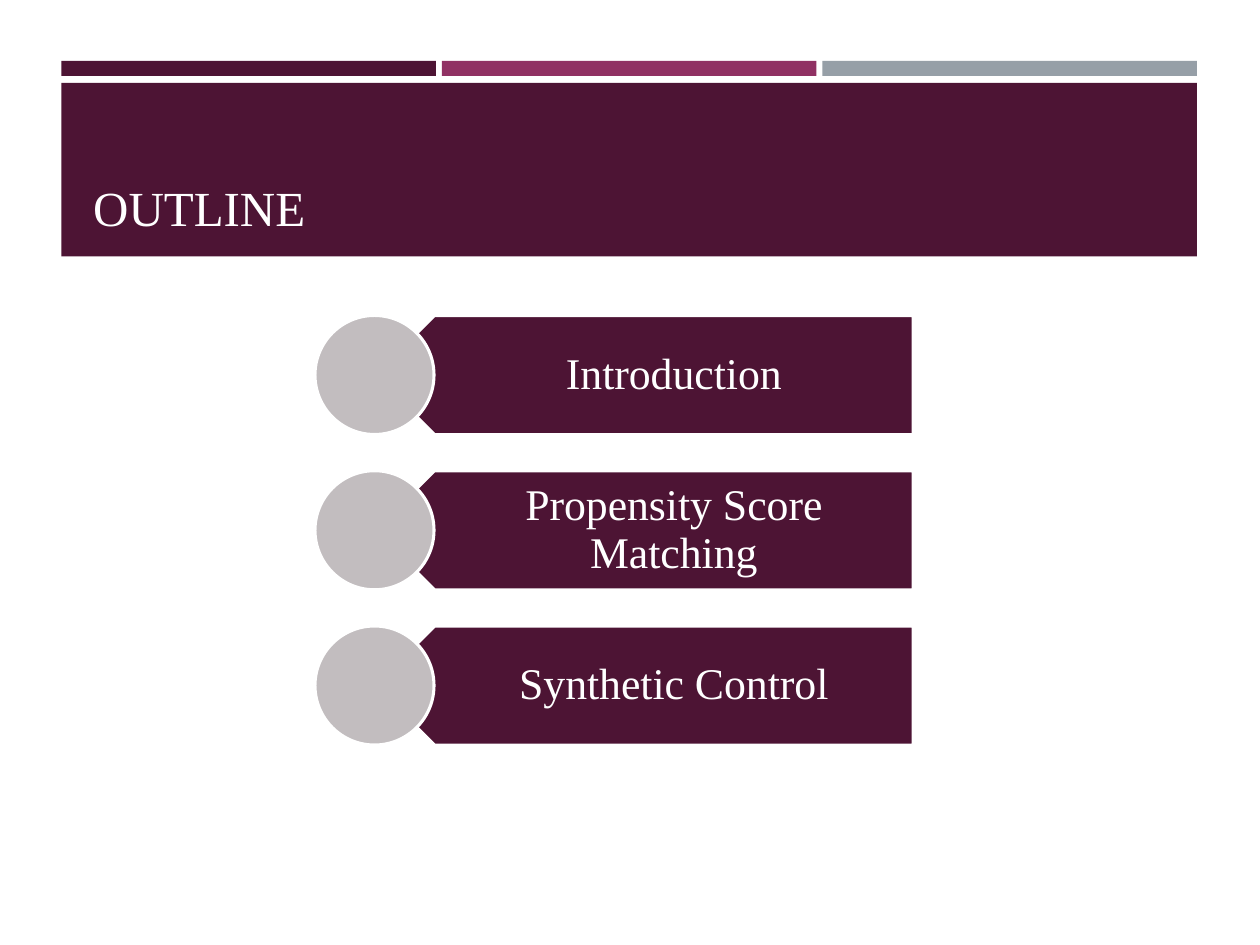
from pptx import Presentation
from pptx.dml.color import RGBColor
from pptx.enum.shapes import MSO_SHAPE
from pptx.enum.text import MSO_ANCHOR, PP_ALIGN
from pptx.util import Cm, Pt

RECT, PLATE, OVAL = MSO_SHAPE.RECTANGLE, MSO_SHAPE.PENTAGON, MSO_SHAPE.OVAL
BOTTOM, MIDDLE = MSO_ANCHOR.BOTTOM, MSO_ANCHOR.MIDDLE
LEFT, CENTER = PP_ALIGN.LEFT, PP_ALIGN.CENTER

PLUM = RGBColor(0x4D, 0x14, 0x34)
BERRY = RGBColor(0x90, 0x31, 0x63)
STEEL = RGBColor(0x96, 0x9F, 0xA7)
GREY = RGBColor(0xC2, 0xBD, 0xBF)
WHITE = RGBColor(0xFF, 0xFF, 0xFF)


class Page:
    """Holds the style and the current slide; boxes are (x, y, w, h) in cm."""

    font = "Times New Roman"
    ink = WHITE
    edge = Pt(1.75)

    def __init__(self, slide):
        self.slide = slide

    def shape(self, kind, box, fill, line=None, turn=0):
        item = self.slide.shapes.add_shape(kind, *map(Cm, box))
        item.shadow.inherit = False
        item.rotation = turn
        item.fill.solid()
        item.fill.fore_color.rgb = fill
        if line is None:
            item.line.fill.background()
        else:
            item.line.color.rgb = line
            item.line.width = self.edge

    def text(self, words, box, size, anchor, align, pads=(0.25, 0.13, 0.25, 0.13), pitch=1.0):
        """Add a text box; pads are left, top, right, bottom in cm."""
        frame = self.slide.shapes.add_textbox(*map(Cm, box)).text_frame
        frame.word_wrap = True
        frame.vertical_anchor = anchor
        (frame.margin_left, frame.margin_top,
         frame.margin_right, frame.margin_bottom) = map(Cm, pads)
        para = frame.paragraphs[0]
        para.text = words
        para.alignment = align
        para.line_spacing = pitch
        para.font.name = self.font
        para.font.size = Pt(size)
        para.font.color.rgb = self.ink

    def topic(self, words, top, high):
        """Add one outline row: a plate pointing left, its label and a disc."""
        self.shape(PLATE, (7.56, top, 10.85, high), PLUM, WHITE, turn=180)
        self.text(words, (8.17, top, 10.24, high), 25, MIDDLE, CENTER,
                  pads=(1.07, 0.25, 0.48, 0.25), pitch=0.9)
        self.shape(OVAL, (6.35, top, high, high), GREY, WHITE)


def main():
    deck = Presentation()
    deck.slide_width, deck.slide_height = Cm(25.4), Cm(19.05)
    page = Page(deck.slides.add_slide(deck.slide_layouts[6]))

    for i, fill in enumerate((PLUM, BERRY, STEEL)):
        page.shape(RECT, (1.24 + 7.67 * i, 1.23, 7.55, 0.3), fill)
    page.shape(RECT, (1.24, 1.67, 22.89, 3.5), PLUM)
    page.text("OUTLINE", (1.63, 1.9, 22.2, 3), 28, BOTTOM, LEFT)

    topics = ("Introduction", "Propensity Score Matching", "Synthetic Control")
    for i, words in enumerate(topics):
        page.topic(words, 6.36 + 3.13 * i, 2.4)

    deck.save("out.pptx")


if __name__ == "__main__":
    main()
